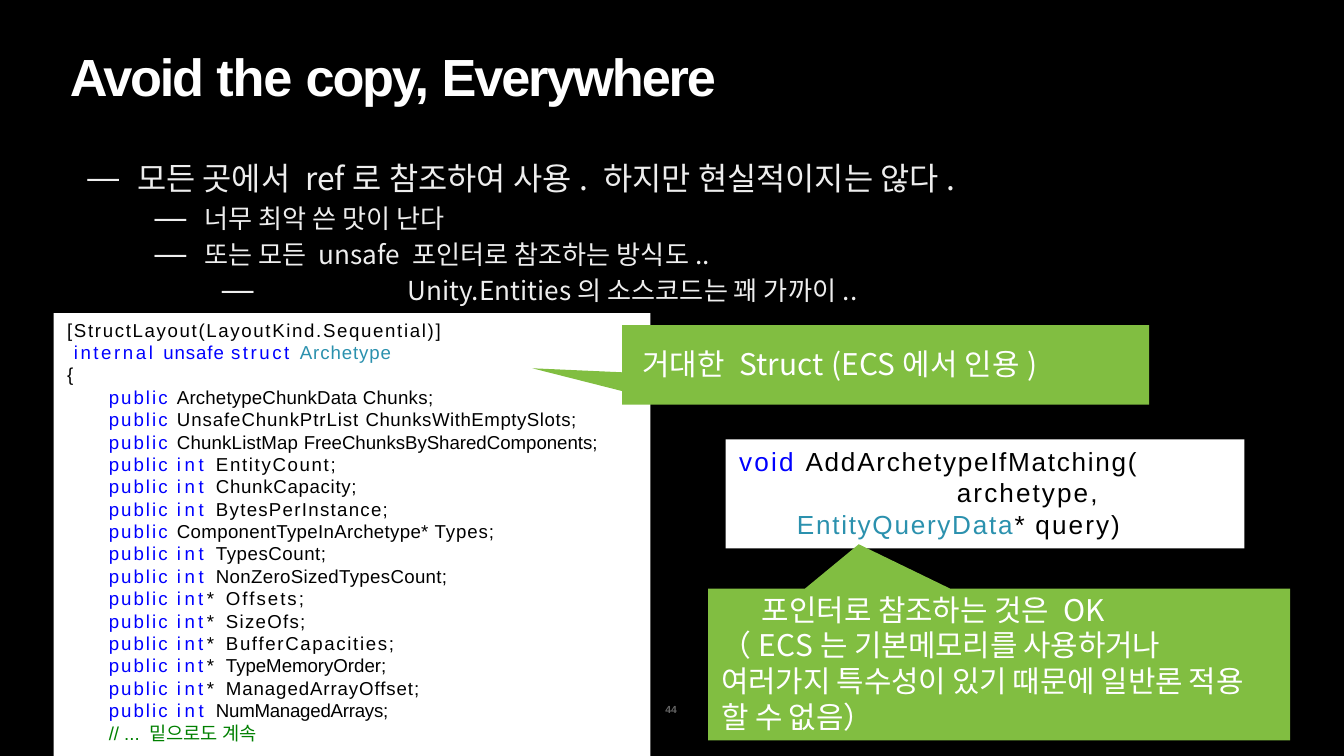
from lxml import etree
from pptx import Presentation
from pptx.dml.color import RGBColor
from pptx.enum.shapes import MSO_SHAPE
from pptx.enum.text import MSO_ANCHOR, MSO_AUTO_SIZE, PP_ALIGN
from pptx.oxml.ns import qn
from pptx.util import Emu, Inches, Pt

RECTANGLE = MSO_SHAPE.RECTANGLE
TOP, LEFT, FIXED = MSO_ANCHOR.TOP, PP_ALIGN.LEFT, MSO_AUTO_SIZE.NONE
LATIN, KOREAN = "Arial", "Noto Sans CJK JP"
COLORS = {
    "background": "000000", "code": "000000", "panel": "FFFFFF",
    "white": "FFFFFF", "body": "EEEEEE", "number": "666666",
    "keyword": "0000FF", "type": "2B91AE", "comment": "008000",
    "callout": "81BE41",
}

deck = Presentation()
deck.slide_width = Inches(10)
deck.slide_height = Emu(deck.slide_width * 9 // 16)
COL = deck.slide_width / 100
ROW = deck.slide_height / 56.25


def text_frame(shape, left, top, width, height, inset=0.2):
    """Place a shape on the grid and ready its frame for top-left text."""
    shape.left, shape.top = int(left * COL), int(top * ROW)
    shape.width, shape.height = int(width * COL), int(height * ROW)
    frame = shape.text_frame
    frame.auto_size, frame.word_wrap, frame.vertical_anchor = FIXED, True, TOP
    frame.margin_left = frame.margin_right = frame.margin_bottom = 0
    frame.margin_top = int(inset * ROW)
    return frame


def write(frame, *parts, size, font=LATIN, bold=False, margin=0.1, hang=0,
          leading=None, bullet_scale=None):
    """Add a paragraph of (text, colour, letter spacing) parts; "\\n" breaks a line."""
    first = frame.paragraphs[0]
    paragraph = frame.add_paragraph() if first.runs else first
    paragraph.alignment = LEFT
    properties = paragraph._p.get_or_add_pPr()
    properties.set("marL", str(int(margin * COL)))
    properties.set("indent", str(int(-hang * COL)))
    if bullet_scale:
        for tag, name, value in (("a:buSzPct", "val", str(bullet_scale * 1000)),
                                 ("a:buFont", "typeface", LATIN),
                                 ("a:buChar", "char", "—")):
            etree.SubElement(properties, qn(tag)).set(name, value)
    else:
        etree.SubElement(properties, qn("a:buNone"))
    if leading:
        paragraph.line_spacing = Pt(leading)
    for text, color, spacing in parts:
        for index, line in enumerate(text.split("\n")):
            if index:
                paragraph.add_line_break()
            run = paragraph.add_run()
            run.text = line
            run.font.size, run.font.name, run.font.bold = Pt(size), font, bold
            run.font.color.rgb = RGBColor.from_string(COLORS[color])
            run_properties = run._r.get_or_add_rPr()
            run_properties.set("spc", str(round(spacing * 100)))
            etree.SubElement(run_properties, qn("a:ea")).set("typeface", font)


slide = deck.slides.add_slide(deck.slide_layouts[5])
slide.background.fill.solid()
slide.background.fill.fore_color.rgb = RGBColor.from_string(COLORS["background"])
shapes = slide.shapes

# Title and slide number
title = text_frame(shapes.title, 5.1, 3.2, 49, 4.9, inset=0.1)
write(title, ("Avoid ", "white", -1.2), ("the ", "white", -0.6),
      ("copy, ", "white", -1.2), ("Everywhere", "white", -1.1), size=28, bold=True)
number = text_frame(shapes.add_textbox(0, 0, 0, 0), 49.4, 52.1, 1.5, 1.2)
write(number, ("44", "number", 0.1), size=5.5, bold=True)

# Bulleted points: text, size, margin, hang, leading, bullet scale
points = text_frame(shapes.add_textbox(0, 0, 0, 0), 6.4, 11.7, 72.8, 11.2, inset=0.1)
for text, size, margin, hang, leading, scale in (
    ("모든 곳에서 ref로 참조하여 사용. 하지만 현실적이지는 않다.", 17, 3.8, 3.7, 20.4, 100),
    ("너무 최악 쓴 맛이 난다", 14, 8.8, 3.7, 19.8, 121),
    ("또는 모든 unsafe 포인터로 참조하는 방식도..", 14, 8.8, 3.7, 19.3, 121),
    ("Unity.Entities의 소스코드는 꽤 가까이..", 14, 23.9, 13.8, 19.3, 121),
):
    write(points, (text, "body", 0), size=size, font=KOREAN, margin=margin,
          hang=hang, leading=leading, bullet_scale=scale)

# White code panels
panels = []
for left, top, width, height in ((4, 23.3, 44.4, 32.95), (54, 32.7, 38.6, 8.1)):
    panel = shapes.add_shape(RECTANGLE, 0, 0, 0, 0)
    panel.shadow.inherit = False
    panel.fill.solid()
    panel.fill.fore_color.rgb = RGBColor.from_string(COLORS["panel"])
    panel.line.fill.background()
    panels.append(text_frame(panel, left, top, width, height, inset=0.4))
struct, method = panels

# Struct listing
code = {"size": 10, "leading": 12}
write(struct, ("[StructLayout(LayoutKind.Sequential)]", "code", 0.9), margin=1, **code)
write(struct, ("internal ", "keyword", 1.4), ("unsafe ", "keyword", 0.5),
      ("struct ", "keyword", 1.4), ("Archetype", "type", 0.5), margin=1.5, **code)
write(struct, ("{", "code", 2.1), margin=1, **code)
for field_type, type_spacing, field, field_spacing in (
    ("ArchetypeChunkData ", 0.1, "Chunks;", 0.2),
    ("UnsafeChunkPtrList ", 0.5, "ChunksWithEmptySlots;", 0.3),
    ("ChunkListMap ", 0.1, "FreeChunksBySharedComponents;", 0),
    ("int ", 1.9, "EntityCount;", 0.9),
    ("int ", 1.9, "ChunkCapacity;", 0.4),
    ("int ", 1.9, "BytesPerInstance;", 0.7),
    ("ComponentTypeInArchetype* ", 0.2, "Types;", 0.5),
    ("int ", 1.9, "TypesCount;", 0.3),
    ("int ", 1.9, "NonZeroSizedTypesCount;", 0.2),
    ("int* ", 1.8, "Offsets;", 1.1),
    ("int* ", 1.8, "SizeOfs;", 0.7),
    ("int* ", 1.8, "BufferCapacities;", 0.9),
    ("int* ", 1.8, "TypeMemoryOrder;", 0),
    ("int* ", 1.8, "ManagedArrayOffset;", 0.5),
    ("int ", 1.9, "NumManagedArrays;", -0.1),
):
    if field_type == "int* ":
        declared = [("int", "keyword", type_spacing), ("* ", "code", type_spacing)]
    else:
        color = "keyword" if field_type == "int " else "code"
        declared = [(field_type, color, type_spacing)]
    write(struct, ("public ", "keyword", 1.1), *declared,
          (field, "code", field_spacing), margin=4.1, **code)
write(struct, ("// ... 밑으로도 계속", "comment", 0), margin=4.1, **code)

# Method signature
signature = {"size": 14, "leading": 16.9}
write(method, ("void ", "keyword", 1.2), ("AddArchetypeIfMatching(", "code", 0.9),
      margin=1, **signature)
write(method, ("archetype,", "code", 1.1), margin=17.2, **signature)
write(method, ("EntityQueryData", "type", 0.9), ("* ", "code", 0.9),
      ("query)", "code", 1.1), margin=5.3, **signature)

# Green callouts, each with a pointing tail, in tenths of a column and row
for outline in (
    ((396, 274), (463, 277), (463, 242), (855, 242),
     (855, 301), (463, 301), (463, 291)),
    ((639, 405), (707, 438), (960, 438), (960, 551),
     (527, 551), (527, 438), (599, 438)),
):
    builder = shapes.build_freeform(*outline[0], scale=(COL / 10, ROW / 10))
    builder.add_line_segments(outline[1:], close=True)
    callout = builder.convert_to_shape()
    callout.shadow.inherit = False
    callout.fill.solid()
    callout.fill.fore_color.rgb = RGBColor.from_string(COLORS["callout"])
    callout.line.fill.background()

remark = {"size": 16, "font": KOREAN, "leading": 19.1}
struct_remark = text_frame(shapes.add_textbox(0, 0, 0, 0), 47.7, 25.5, 36.4, 2.8)
write(struct_remark, ("거대한 Struct (ECS에서 인용)", "white", 0.1), **remark)
pointer_remark = text_frame(shapes.add_textbox(0, 0, 0, 0), 53.6, 43.8, 41.6, 10.9)
write(pointer_remark, ("포인터로 참조하는 것은 OK", "white", 0), margin=3.1, **remark)
write(pointer_remark, ("（", "white", -0.2), ("EC", "white", 0.1),
      ("S는 기본메모리를 사용하거나\n여러가지 특수성이 있기 때문에 일반론 적용\n할 수 없음",
       "white", -0.1), ("）", "white", -0.2), **remark)

deck.save("out.pptx")
